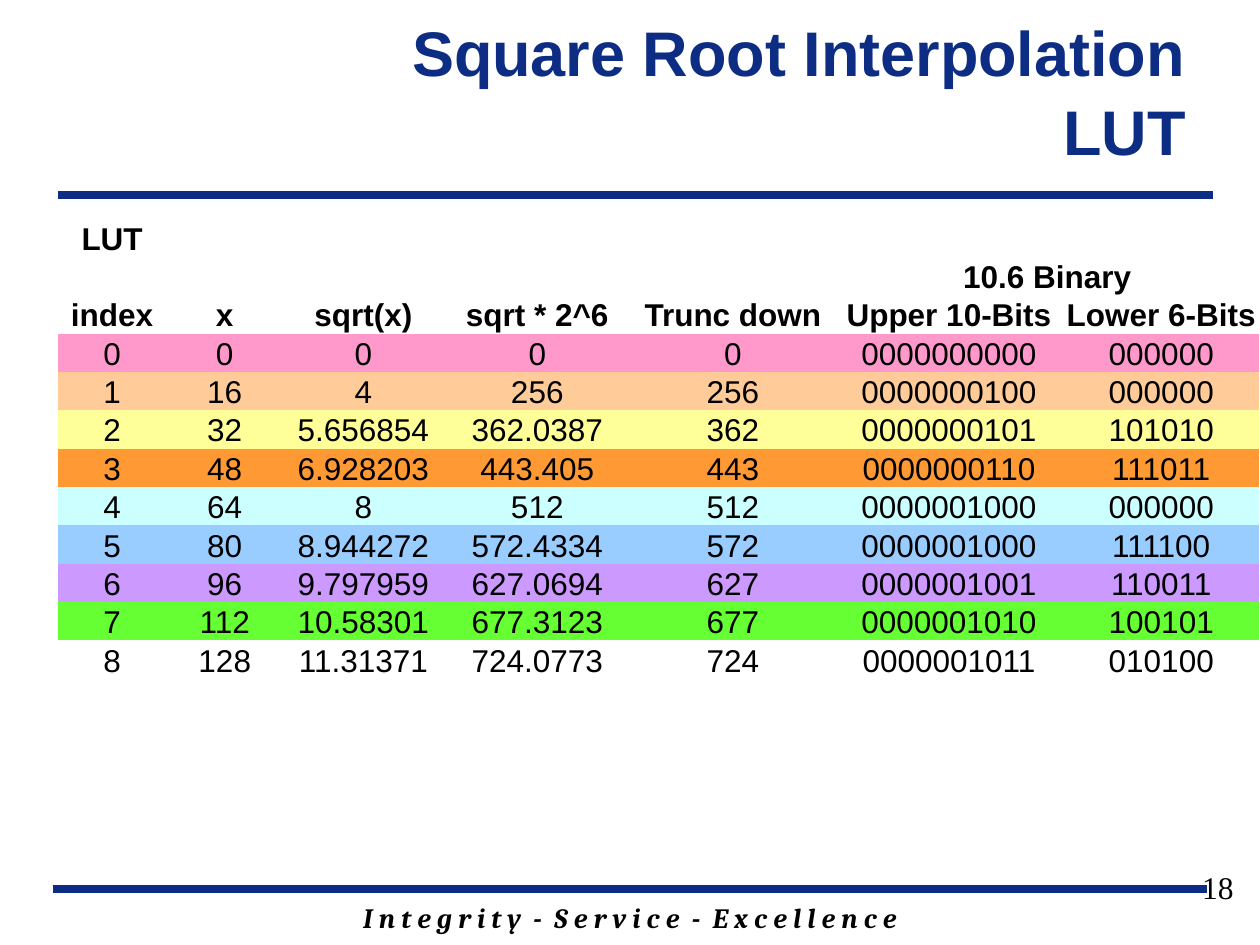
import math

from lxml import etree
from pptx import Presentation
from pptx.dml.color import RGBColor
from pptx.enum.shapes import MSO_CONNECTOR
from pptx.enum.text import MSO_ANCHOR, PP_ALIGN
from pptx.oxml.ns import qn
from pptx.util import Cm, Pt

STRAIGHT = MSO_CONNECTOR.STRAIGHT
TOP, MIDDLE, BOTTOM = MSO_ANCHOR.TOP, MSO_ANCHOR.MIDDLE, MSO_ANCHOR.BOTTOM
CENTER, RIGHT = PP_ALIGN.CENTER, PP_ALIGN.RIGHT
PLAIN_TABLE_STYLE = "{2D5ABB26-0587-4C30-8999-92F81FD0307C}"

COLORS = {
    "navy": "0C2D83", "black": "000000",
    "pink": "FF99CC", "peach": "FFCC99", "yellow": "FFFF99",
    "orange": "FF9933", "cyan": "CCFFFF", "blue": "99CCFF",
    "violet": "CC99FF", "green": "66FF33",
}
BANDS = ["pink", "peach", "yellow", "orange", "cyan", "blue", "violet", "green", None]

HEADINGS = ["index", "x", "sqrt(x)", "sqrt * 2^6", "Trunc down",
            "Upper 10-Bits", "Lower 6-Bits"]
COLUMN_WIDTHS = [2.18, 2.36, 3.23, 3.78, 4.11, 4.6, 3.96]
FRACTION_BITS = 6
INDEX_STEP = 16


def lut_row(index):
    """Table texts for one index, with the root as a 10.6 fixed-point number."""
    x = index * INDEX_STEP
    root = math.sqrt(x)
    scaled = root * 2 ** FRACTION_BITS
    truncated = int(scaled)
    upper, lower = divmod(truncated, 2 ** FRACTION_BITS)
    return [str(index), str(x), f"{root:.7g}", f"{scaled:.7g}", str(truncated),
            f"{upper:010b}", f"{lower:06b}"]


class SlideBuilder:
    def __init__(self, slide, font="Arial", size=18):
        self.slide = slide
        self.font = font
        self.size = size

    def format(self, paragraph, align, color="black", size=None, font=None,
               bold=False, italic=False):
        paragraph.alignment = align
        style = paragraph.font
        style.name = font or self.font
        style.size = Pt(size or self.size)
        style.bold, style.italic = bold, italic
        style.color.rgb = RGBColor.from_string(COLORS[color])

    def rule(self, left, top, width):
        line = self.slide.shapes.add_connector(
            STRAIGHT, Cm(left), Cm(top), Cm(left + width), Cm(top))
        line.line.color.rgb = RGBColor.from_string(COLORS["navy"])
        line.line.width = Pt(4.5)
        etree.SubElement(line.element.spPr, qn("a:effectLst"))

    def text(self, text, left, top, width, height, align, anchor=TOP,
             line_spacing=None, **style):
        frame = self.slide.shapes.add_textbox(
            Cm(left), Cm(top), Cm(width), Cm(height)).text_frame
        frame.word_wrap = True
        frame.vertical_anchor = anchor
        frame.text = text
        paragraph = frame.paragraphs[0]
        paragraph.line_spacing = line_spacing
        self.format(paragraph, align, **style)

    def cell(self, cell, text, bold, band):
        cell.margin_left = cell.margin_right = cell.margin_top = Cm(0.01)
        cell.margin_bottom = 0
        cell.vertical_anchor = BOTTOM
        cell.text = text
        self.format(cell.text_frame.paragraphs[0], CENTER, bold=bold)
        if band:
            cell.fill.solid()
            cell.fill.fore_color.rgb = RGBColor.from_string(COLORS[band])
        else:
            cell.fill.background()

    def table(self, rows, bands, header_count, left, top, widths, heights):
        table = self.slide.shapes.add_table(
            len(rows), len(widths), Cm(left), Cm(top),
            Cm(sum(widths)), Cm(sum(heights))).table
        table.first_row = table.horz_banding = False
        table._tbl.tblPr.find(qn("a:tableStyleId")).text = PLAIN_TABLE_STYLE
        for column, width in zip(table.columns, widths):
            column.width = Cm(width)
        for r, (texts, band, height) in enumerate(zip(rows, bands, heights)):
            table.rows[r].height = Cm(height)
            for c, text in enumerate(texts):
                self.cell(table.cell(r, c), text, r < header_count, band)
        return table


def main():
    prs = Presentation()
    prs.slide_width, prs.slide_height = Cm(25.4), Cm(19.05)
    builder = SlideBuilder(prs.slides.add_slide(prs.slide_layouts[6]))

    builder.rule(1.06, 17.92, 23.28)
    builder.rule(1.17, 3.93, 23.28)
    builder.text("I n t e g r i t y  -  S e r v i c e  -  E x c e l l e n c e",
                 3.6, 18.03, 18.2, 0.94, CENTER,
                 size=16, font="Cambria", bold=True, italic=True)
    builder.text("Square Root Interpolation LUT", 5.3, 0.2, 18.85, 3.18, RIGHT,
                 anchor=MIDDLE, line_spacing=1.05, color="navy", size=36, bold=True)
    builder.text("18", 19.2, 17.37, 5.92, 1.32, RIGHT, font="Times New Roman")

    headers = [["LUT"] + [""] * 6, [""] * 5 + ["10.6 Binary", ""], HEADINGS]
    rows = headers + [lut_row(index) for index in range(len(BANDS))]
    lut = builder.table(rows, [None] * len(headers) + BANDS, len(headers),
                        1.17, 4.06, COLUMN_WIDTHS, [1.12] + [0.74] * (len(rows) - 1))
    lut.cell(1, 5).merge(lut.cell(1, 6))

    prs.save("out.pptx")


if __name__ == "__main__":
    main()
